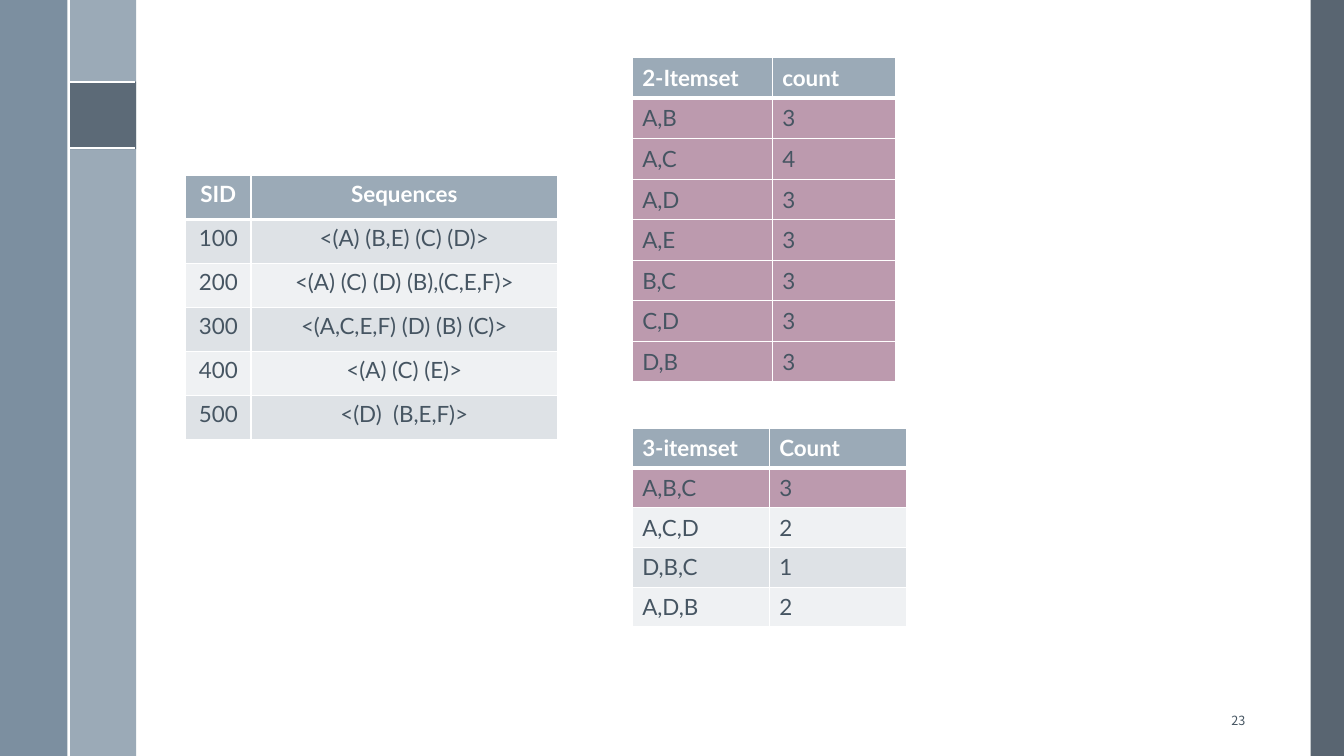
from lxml import etree
from pptx import Presentation
from pptx.dml.color import RGBColor
from pptx.enum.shapes import MSO_CONNECTOR, MSO_SHAPE
from pptx.enum.text import MSO_ANCHOR, PP_ALIGN
from pptx.oxml.ns import qn
from pptx.util import Inches, Pt

RECTANGLE = MSO_SHAPE.RECTANGLE
STRAIGHT = MSO_CONNECTOR.STRAIGHT
TOP, MIDDLE = MSO_ANCHOR.TOP, MSO_ANCHOR.MIDDLE
LEFT, CENTER, RIGHT = PP_ALIGN.LEFT, PP_ALIGN.CENTER, PP_ALIGN.RIGHT

WHITE, INK, DARK, STEEL, BLUE = "FFFFFF", "465562", "475562", "9BAAB7", "6A8093"
ODD_ROW, EVEN_ROW, FREQUENT = "DEE2E6", "EFF1F3", "BC9AAE"
BANDS = (ODD_ROW, EVEN_ROW)


def color(value):
    return RGBColor.from_string(value)


def set_cell_borders(cell, widths):
    """Draw white borders, given in points as left, right, top, bottom."""
    properties = cell._tc.get_or_add_tcPr()
    for index, (side, width) in enumerate(zip("LRTB", widths)):
        line = etree.Element(qn(f"a:ln{side}"), w=str(Pt(width)))
        fill = etree.SubElement(line, qn("a:solidFill"))
        etree.SubElement(fill, qn("a:srgbClr"), val=WHITE)
        properties.insert(index, line)


class SlideBuilder:
    def __init__(self, slide, font="Lato", size=16):
        self.slide, self.font, self.size = slide, font, size

    def set_text(self, frame, text, align, font_color, **formats):
        paragraph = frame.paragraphs[0]
        paragraph.text = text
        paragraph.alignment = align
        values = {"name": self.font, "size": Pt(self.size), "bold": False, **formats}
        for name, value in values.items():
            setattr(paragraph.font, name, value)
        paragraph.font.color.rgb = color(font_color)

    def band(self, left, top, width, height, fill, opacity=100):
        shape = self.slide.shapes.add_shape(
            RECTANGLE, Inches(left), Inches(top), Inches(width), Inches(height))
        shape.shadow.inherit = False
        shape.line.fill.background()
        shape.fill.solid()
        shape.fill.fore_color.rgb = color(fill)
        if opacity < 100:
            tone = shape._element.spPr.find(".//" + qn("a:srgbClr"))
            etree.SubElement(tone, qn("a:alpha"), val=str(opacity * 1000))

    def rule(self, left, top, right, bottom):
        connector = self.slide.shapes.add_connector(
            STRAIGHT, Inches(left), Inches(top), Inches(right), Inches(bottom))
        connector.line.color.rgb = color(WHITE)
        connector.line.width = Pt(1.5)
        etree.SubElement(connector._element.spPr, qn("a:effectLst"))

    def label(self, left, top, width, height, text, align, **formats):
        box = self.slide.shapes.add_textbox(
            Inches(left), Inches(top), Inches(width), Inches(height))
        box.text_frame.word_wrap = True
        box.text_frame.vertical_anchor = MIDDLE
        self.set_text(box.text_frame, text, align, INK, **formats)

    def table(self, left, top, widths, height, rows, fills, align=LEFT, anchor=MIDDLE):
        """Add a table whose first row is the header; fills colour the body rows."""
        table = self.slide.shapes.add_table(
            len(rows), len(widths), Inches(left), Inches(top),
            Inches(sum(widths)), Inches(height)).table
        for column, width in zip(table.columns, widths):
            column.width = Inches(width)
        for r, (texts, fill) in enumerate(zip(rows, (STEEL, *fills))):
            header = r == 0
            table.rows[r].height = Inches(height / len(rows))
            for c, text in enumerate(texts):
                cell = table.cell(r, c)
                cell.vertical_anchor = anchor
                cell.fill.solid()
                cell.fill.fore_color.rgb = color(fill)
                self.set_text(cell.text_frame, text, align,
                              WHITE if header else INK, bold=header)
                set_cell_borders(cell, (1, 1, 3 if r == 1 else 1, 3 if header else 1))


def main():
    presentation = Presentation()
    presentation.slide_width, presentation.slide_height = Inches(13.33), Inches(7.5)
    builder = SlideBuilder(presentation.slides.add_slide(presentation.slide_layouts[6]))

    builder.band(13, 0, 0.33, 7.5, DARK, 90)
    builder.band(0.68, 0, 0.67, 7.5, STEEL)
    builder.band(0, 0, 0.67, 7.5, BLUE, 88)
    builder.band(0.68, 0.81, 0.67, 0.67, DARK, 75)
    for y in (0.81, 1.47):
        builder.rule(0.68, y, 1.34, y)
    builder.rule(0.68, 0, 0.68, 7.5)
    builder.label(11.78, 6.95, 0.67, 0.4, "23", RIGHT,
                  name="Noto Sans CJK TC", size=Pt(9))

    sequences = [("SID", "Sequences"),
                 ("100", "<(A) (B,E) (C) (D)>"),
                 ("200", "<(A) (C) (D) (B),(C,E,F)>"),
                 ("300", "<(A,C,E,F) (D) (B) (C)>"),
                 ("400", "<(A) (C) (E)>"),
                 ("500", "<(D)  (B,E,F)>")]
    builder.table(1.84, 1.74, (0.65, 3.04), 2.62, sequences,
                  [BANDS[i % 2] for i in range(5)], CENTER, TOP)

    pairs = [("2-Itemset", "count"), ("A,B", "3"), ("A,C", "4"), ("A,D", "3"),
             ("A,E", "3"), ("B,C", "3"), ("C,D", "3"), ("D,B", "3")]
    builder.table(6.27, 0.57, (1.39, 1.22), 3.22, pairs, [FREQUENT] * 7)

    triples = [("3-itemset", "Count"), ("A,B,C", "3"), ("A,C,D", "2"),
               ("D,B,C", "1"), ("A,D,B", "2")]
    builder.table(6.27, 4.25, (1.36, 1.36), 1.97, triples,
                  [FREQUENT, EVEN_ROW, ODD_ROW, EVEN_ROW])

    presentation.save("out.pptx")


if __name__ == "__main__":
    main()
